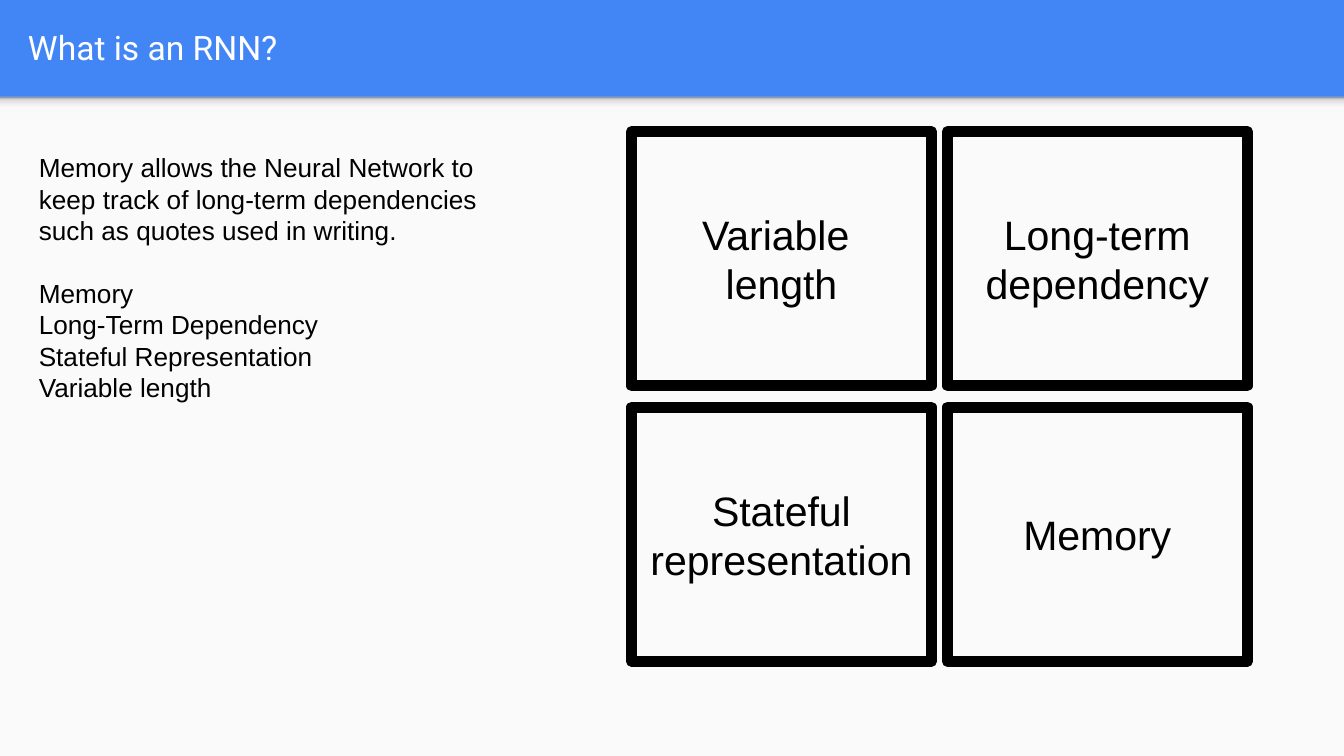
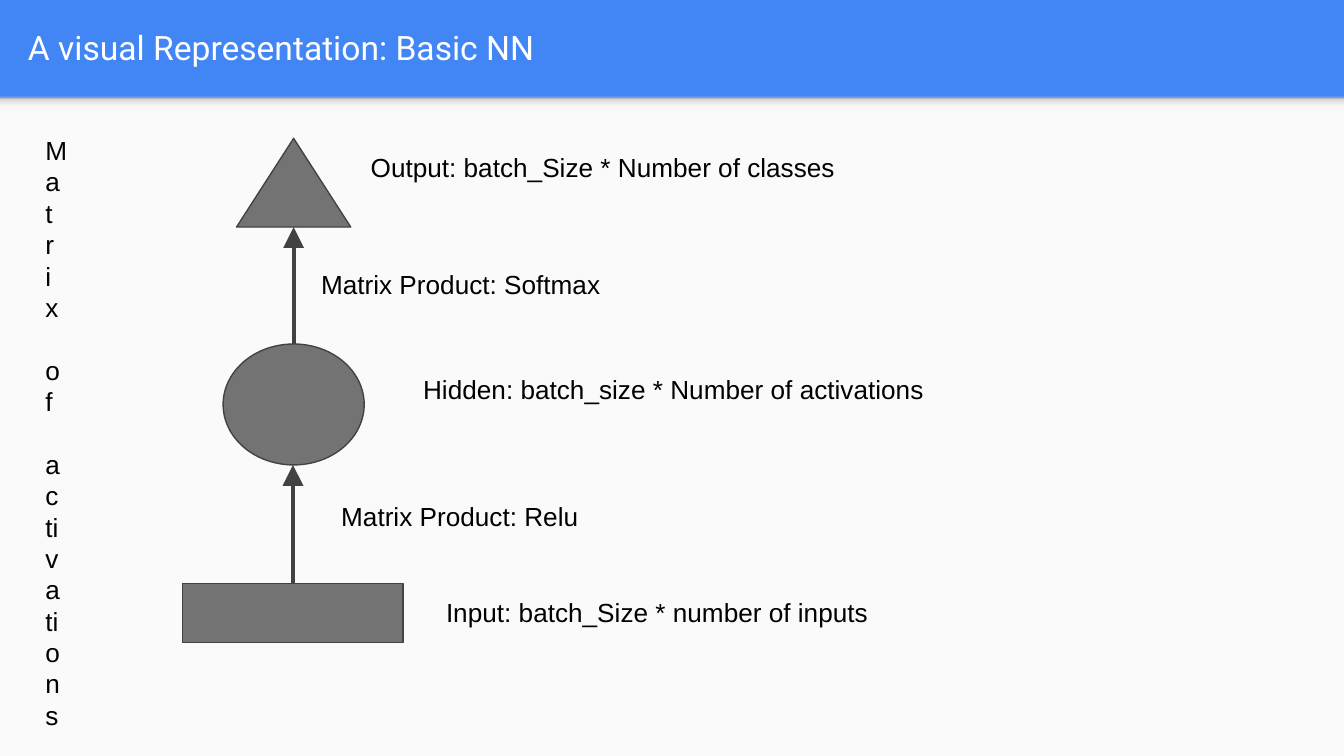
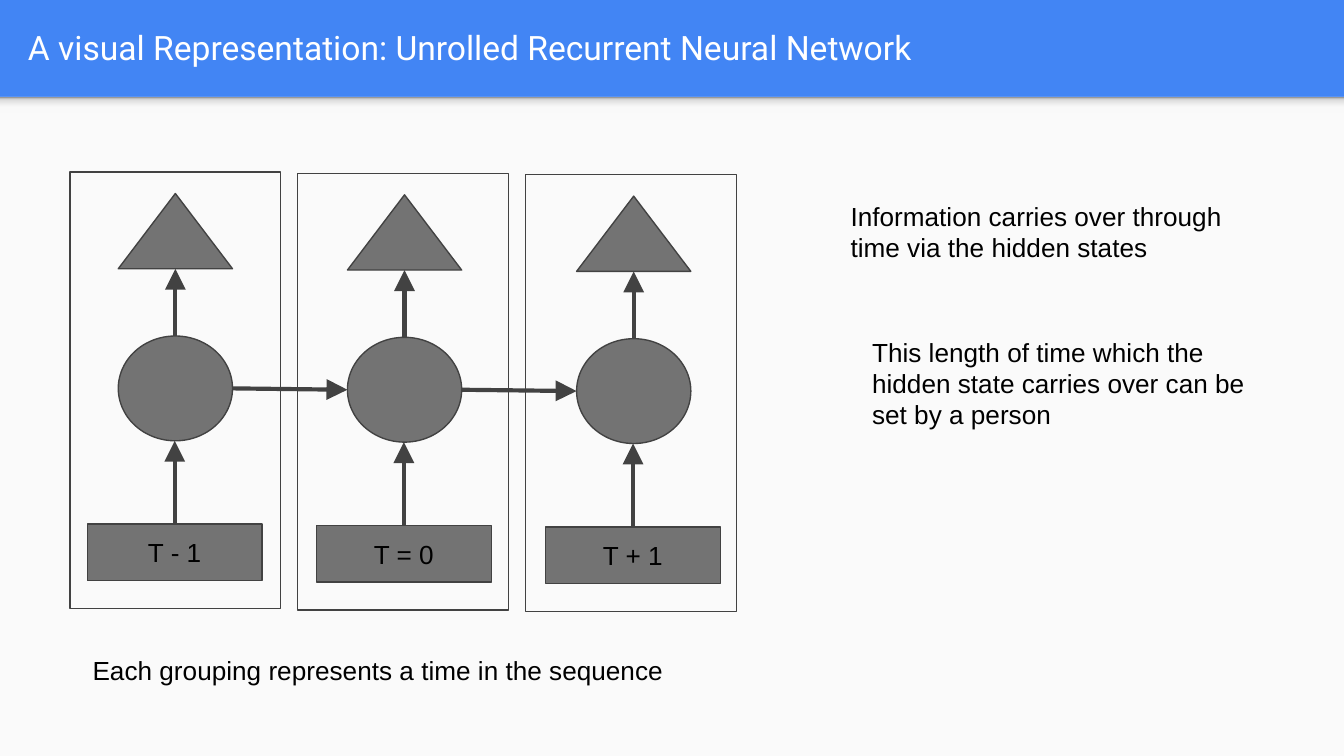
from dataclasses import dataclass

from lxml import etree
from pptx import Presentation, util as u
from pptx.dml.color import RGBColor
from pptx.enum import shapes, text
from pptx.oxml import parse_xml
from pptx.oxml.ns import qn

NS = "http://schemas.openxmlformats.org/drawingml/2006/main"
Kind = shapes.MSO_SHAPE
Mid = text.MSO_ANCHOR.MIDDLE


@dataclass(frozen=True)
class Theme:
    blue: str = "4285F4"
    paper: str = "FAFAFA"
    white: str = "FFFFFF"
    black: str = "000000"
    grey: str = "737373"
    edge: str = "424242"
    shade: tuple = ((0, "F9F9F9"), (36, "F9F9F9"), (80, "DEDEDE"), (100, "999999"))
    head: int = 18
    big: int = 22
    body: int = 14
    gap: float = 16.8
    thin: float = 0.75
    bold: float = 6
    wire: float = 2.25
    sans: str = "Arial"
    title: str = "Roboto"


T = Theme()


def draw(page, kind, at, lines=(), fill=None, line=None, width=T.thin,
         size=T.body, font=T.sans, color=T.black, anchor=None):
    """Add a shape, or a text box if kind is None; a line "" opens a gap."""
    box = [u.Inches(n) for n in at]
    if kind is None:
        item = page.shapes.add_textbox(*box)
    else:
        item = page.shapes.add_shape(kind, *box)
        item.shadow.inherit = False
        if fill:
            item.fill.solid()
            item.fill.fore_color.rgb = RGBColor.from_string(fill)
        else:
            item.fill.background()
        if line:
            item.line.color.rgb = RGBColor.from_string(line)
            item.line.width = u.Pt(width)
            etree.SubElement(item.line._get_or_add_ln(), qn("a:round"))
        else:
            item.line.fill.background()
    frame = item.text_frame
    frame.word_wrap = True
    frame.vertical_anchor = anchor or (Mid if kind else text.MSO_ANCHOR.TOP)
    frame.margin_left = frame.margin_right = u.Inches(0.1)
    frame.margin_top = frame.margin_bottom = u.Inches(0.1)
    para, gap = None, False
    for words in lines:
        if not words:
            gap = True
            continue
        para = frame.add_paragraph() if para else frame.paragraphs[0]
        para.alignment = text.PP_ALIGN.CENTER if kind else text.PP_ALIGN.LEFT
        if gap:
            para.space_before = u.Pt(T.gap)
            gap = False
        run = para.add_run()
        run.text = words
        run.font.size = u.Pt(size)
        run.font.name = font
        run.font.color.rgb = RGBColor.from_string(color)
    return item


def link(page, tail, tip, across=False):
    """Draw an arrow upwards from tail to tip, or rightwards if across."""
    if across:
        ends = (tail.left + tail.width, tail.top + tail.height // 2,
                tip.left, tip.top + tip.height // 2)
    else:
        x = tail.left + tail.width // 2
        ends = (x, tail.top, x, tip.top + tip.height)
    wire = page.shapes.add_connector(shapes.MSO_CONNECTOR.STRAIGHT, *ends)
    if tail.auto_shape_type == Kind.FLOWCHART_PROCESS:
        wire.begin_connect(tail, 0)
    wire.line.color.rgb = RGBColor.from_string(T.edge)
    wire.line.width = u.Pt(T.wire)
    etree.SubElement(wire.line._get_or_add_ln(), qn("a:tailEnd"),
                     type="triangle", w="lg", len="lg")
    etree.SubElement(wire._element.spPr, qn("a:effectLst"))


deck = Presentation()
deck.slide_width = u.Inches(10)
deck.slide_height = deck.slide_width * 9 // 16
back = deck.slide_master.background.fill
back.solid()
back.fore_color.rgb = RGBColor.from_string(T.blue)

# Shared header, panel and soft edge
stops = "".join(f'<a:gs pos="{pos * 1000}"><a:srgbClr val="{tone}"/></a:gs>'
                for pos, tone in T.shade)
fade = (f'<a:gradFill xmlns:a="{NS}"><a:gsLst>{stops}</a:gsLst>'
        '<a:lin ang="16200000" scaled="0"/></a:gradFill>')
pages = []
for name in ("What is an RNN?",
             "A visual Representation: Basic NN",
             "A visual Representation: Unrolled Recurrent Neural Network"):
    page = deck.slides.add_slide(deck.slide_layouts[6])
    draw(page, Kind.RECTANGLE, (0, 0.72, 10, 4.91), fill=T.paper)
    strip = draw(page, Kind.RECTANGLE, (0, 0.72, 10, 0.12))
    plain = strip._element.spPr.find(qn("a:noFill"))
    plain.getparent().replace(plain, parse_xml(fade))
    draw(page, None, (0.11, 0.02, 9.65, 0.66), [name], size=T.head,
         font=T.title, color=T.white, anchor=Mid)
    pages.append(page)
intro, basic, chain = pages

# Slide 1: four traits in a grid
traits = (("Variable ", "length"), ("Long-term dependency",),
          ("Stateful representation",), ("Memory",))
for i, words in enumerate(traits):
    row, col = divmod(i, 2)
    draw(intro, Kind.RECTANGLE, (4.7 + 2.35 * col, 0.98 + 2.05 * row, 2.23, 1.89),
         words, line=T.black, width=T.bold, size=T.big)
draw(intro, None, (0.19, 1.03, 3.68, 3.85), (
    "Memory allows the Neural Network to keep track of long-term dependencies "
    "such as quotes used in writing.",
    "", "Memory", "Long-Term Dependency", "Stateful Representation",
    "Variable length"))

# Slide 2: one network, layer by layer
look = dict(fill=T.grey, line=T.edge)
out = draw(basic, Kind.ISOSCELES_TRIANGLE, (1.76, 1.03, 0.85, 0.66), **look)
hid = draw(basic, Kind.OVAL, (1.66, 2.56, 1.05, 0.9), **look)
inp = draw(basic, Kind.FLOWCHART_PROCESS, (1.36, 4.34, 1.64, 0.44), **look)
link(basic, inp, hid)
link(basic, hid, out)
for at, words in (
        ((2.66, 1.03, 4.13, 0.56), "Output: batch_Size * Number of classes"),
        ((2.29, 1.9, 2.51, 0.56), "Matrix Product: Softmax"),
        ((3.05, 2.68, 4.63, 0.66), "Hidden: batch_size * Number of activations"),
        ((2.44, 3.62, 2.51, 0.56), "Matrix Product: Relu"),
        ((3.22, 4.34, 3.42, 0.66), "Input: batch_Size * number of inputs")):
    draw(basic, None, at, [words])
draw(basic, None, (0.24, 0.9, 0.3, 3.82), ("Matrix", "", "of", "", "activations"))

# Slide 3: the network at three times, each step a little lower
last = None
for i, step in enumerate(("T - 1", "T = 0", "T + 1")):
    x, y = 3.41 * i / 2, 0.01 * i
    out = draw(chain, Kind.ISOSCELES_TRIANGLE, (0.88 + x, 1.44 + y, 0.85, 0.56), **look)
    hid = draw(chain, Kind.OVAL, (0.88 + x, 2.5 + y, 0.85, 0.78), **look)
    inp = draw(chain, Kind.FLOWCHART_PROCESS, (0.65 + x, 3.9 + y, 1.3, 0.42),
               [step], **look)
    link(chain, inp, hid)
    link(chain, hid, out)
    if last:
        link(chain, last, hid, across=True)
    last = hid
for i in range(3):
    draw(chain, Kind.RECTANGLE, (0.52 + 3.39 * i / 2, 1.28 + 0.01 * i, 1.57, 3.25),
         line=T.edge)
for at, words in (
        ((0.59, 4.77, 4.81, 0.56), "Each grouping represents a time in the sequence"),
        ((6.23, 1.39, 3.01, 0.73),
         "Information carries over through time via the hidden states"),
        ((6.39, 2.4, 3.01, 0.9), "This length of time which the hidden state "
         "carries over can be set by a person")):
    draw(chain, None, at, [words])

deck.save("out.pptx")
